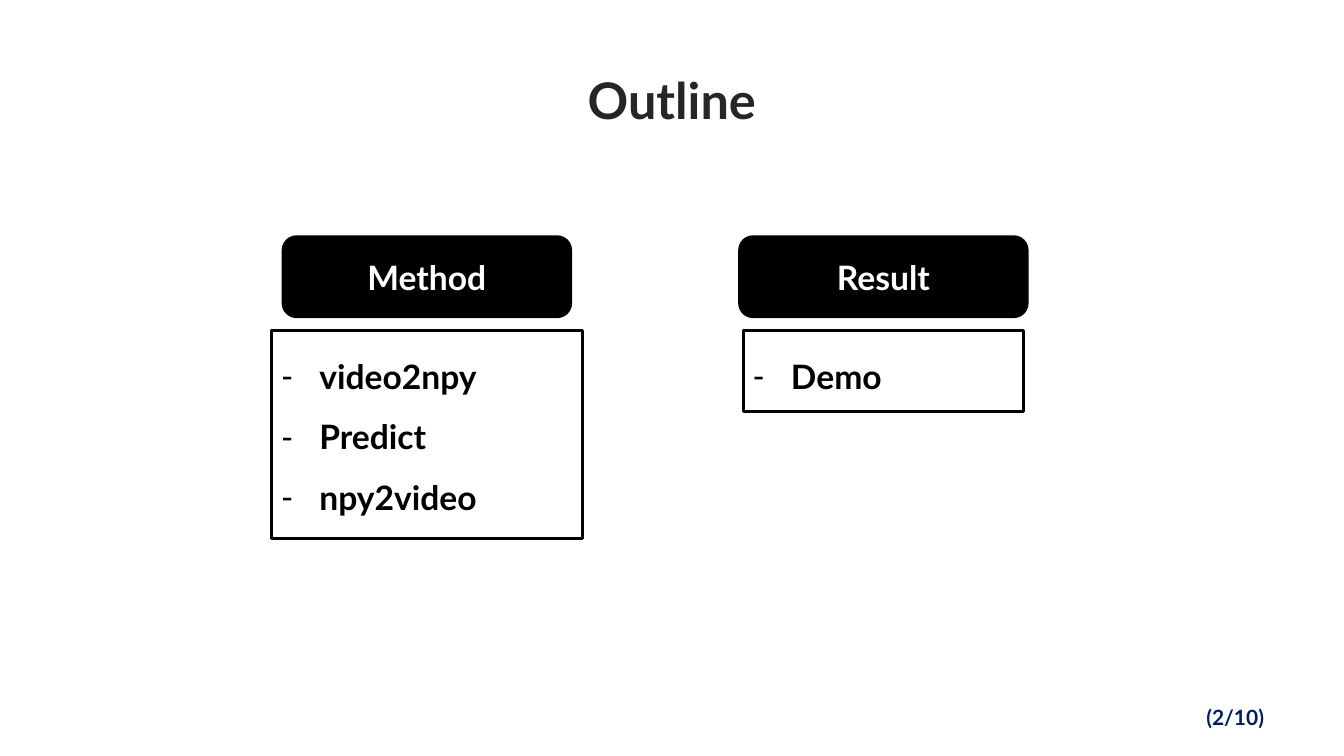
from dataclasses import dataclass

import pptx
import pptx.dml.color
import pptx.enum.shapes
import pptx.enum.text
import pptx.oxml
import pptx.oxml.ns
import pptx.presentation
import pptx.shapes.autoshape
import pptx.slide
import pptx.text.text
import pptx.util

Pt = pptx.util.Pt
RGB = pptx.dml.color.RGBColor
Kind = pptx.enum.shapes.MSO_SHAPE
Align = pptx.enum.text.PP_ALIGN
Anchor = pptx.enum.text.MSO_ANCHOR


@dataclass(frozen=True)
class Theme:
    font: str = "Lato"
    black: RGB = RGB(0, 0, 0)
    white: RGB = RGB(255, 255, 255)
    title: RGB = RGB(0x26, 0x26, 0x26)
    navy: RGB = RGB(0, 0x20, 0x60)
    big: float = 36
    body: float = 24
    small: float = 15
    line: float = 2.25


@dataclass(frozen=True)
class Box:
    left: float
    top: float
    width: float
    height: float


@dataclass(frozen=True)
class Topic:
    name: str
    items: tuple[str, ...]
    center: float
    width: float
    height: float


THEME = Theme()
HEAD_TOP, HEAD_WIDTH, HEAD_HEIGHT = 169.2, 205.2, 56.9
LIST_TOP = 236.2
INDENT = 27
TOPICS = (
    Topic("Method", ("video2npy", "Predict", "npy2video"), 304.9, 221.8, 148.3),
    Topic("Result", ("Demo",), 631, 200.2, 57.6),
)


def style(para: pptx.text.text._Paragraph, size: float, color: RGB) -> None:
    for run in para.runs:
        run.font.name = THEME.font
        run.font.size = Pt(size)
        run.font.bold = True
        run.font.color.rgb = color


def label(slide: pptx.slide.Slide, box: Box, text: str, size: float,
          color: RGB, align: Align, anchor: Anchor) -> None:
    shape = slide.shapes.add_textbox(
        Pt(box.left), Pt(box.top), Pt(box.width), Pt(box.height))
    frame = shape.text_frame
    frame.word_wrap = True
    frame.vertical_anchor = anchor
    frame.text = text
    frame.paragraphs[0].alignment = align
    style(frame.paragraphs[0], size, color)


def panel(slide: pptx.slide.Slide, kind: Kind, box: Box,
          fill: RGB) -> pptx.shapes.autoshape.Shape:
    shape = slide.shapes.add_shape(
        kind, Pt(box.left), Pt(box.top), Pt(box.width), Pt(box.height))
    shape.shadow.inherit = False
    shape.fill.solid()
    shape.fill.fore_color.rgb = fill
    shape.line.color.rgb = THEME.black
    shape.line.width = Pt(THEME.line)
    shape.text_frame.word_wrap = True
    return shape


def bullet(para: pptx.text.text._Paragraph) -> None:
    props = para._p.get_or_add_pPr()
    props.set("marL", str(Pt(INDENT)))
    props.set("indent", str(-Pt(INDENT)))
    for tag, key, value in (("buFont", "typeface", "Arial"),
                            ("buChar", "char", "-")):
        mark = pptx.oxml.parse_xml(
            f'<a:{tag} {pptx.oxml.ns.nsdecls("a")} {key}="{value}"/>')
        props.append(mark)


def draw(slide: pptx.slide.Slide, topic: Topic) -> None:
    box = Box(topic.center - HEAD_WIDTH / 2, HEAD_TOP, HEAD_WIDTH, HEAD_HEIGHT)
    head = panel(slide, Kind.ROUNDED_RECTANGLE, box, THEME.black).text_frame
    head.vertical_anchor = Anchor.MIDDLE
    head.text = topic.name
    head.paragraphs[0].alignment = Align.CENTER
    style(head.paragraphs[0], THEME.body, THEME.white)

    box = Box(topic.center - topic.width / 2, LIST_TOP, topic.width, topic.height)
    frame = panel(slide, Kind.RECTANGLE, box, THEME.white).text_frame
    frame.vertical_anchor = Anchor.TOP
    frame.text = "\n".join(topic.items)
    for para in frame.paragraphs:
        bullet(para)
        para.alignment = Align.LEFT
        para.line_spacing = 1.5
        style(para, THEME.body, THEME.black)


def main() -> None:
    deck = pptx.Presentation()
    deck.slide_width, deck.slide_height = Pt(960), Pt(540)
    slide = deck.slides.add_slide(deck.slide_layouts[6])
    label(slide, Box(854.6, 499.7, 81.4, 25.2), "(2/10)", THEME.small,
          THEME.navy, Align.LEFT, Anchor.TOP)
    label(slide, Box(54.7, 25.9, 850.3, 90), "Outline", THEME.big,
          THEME.title, Align.CENTER, Anchor.MIDDLE)
    for topic in TOPICS:
        draw(slide, topic)
    deck.save("out.pptx")


if __name__ == "__main__":
    main()
